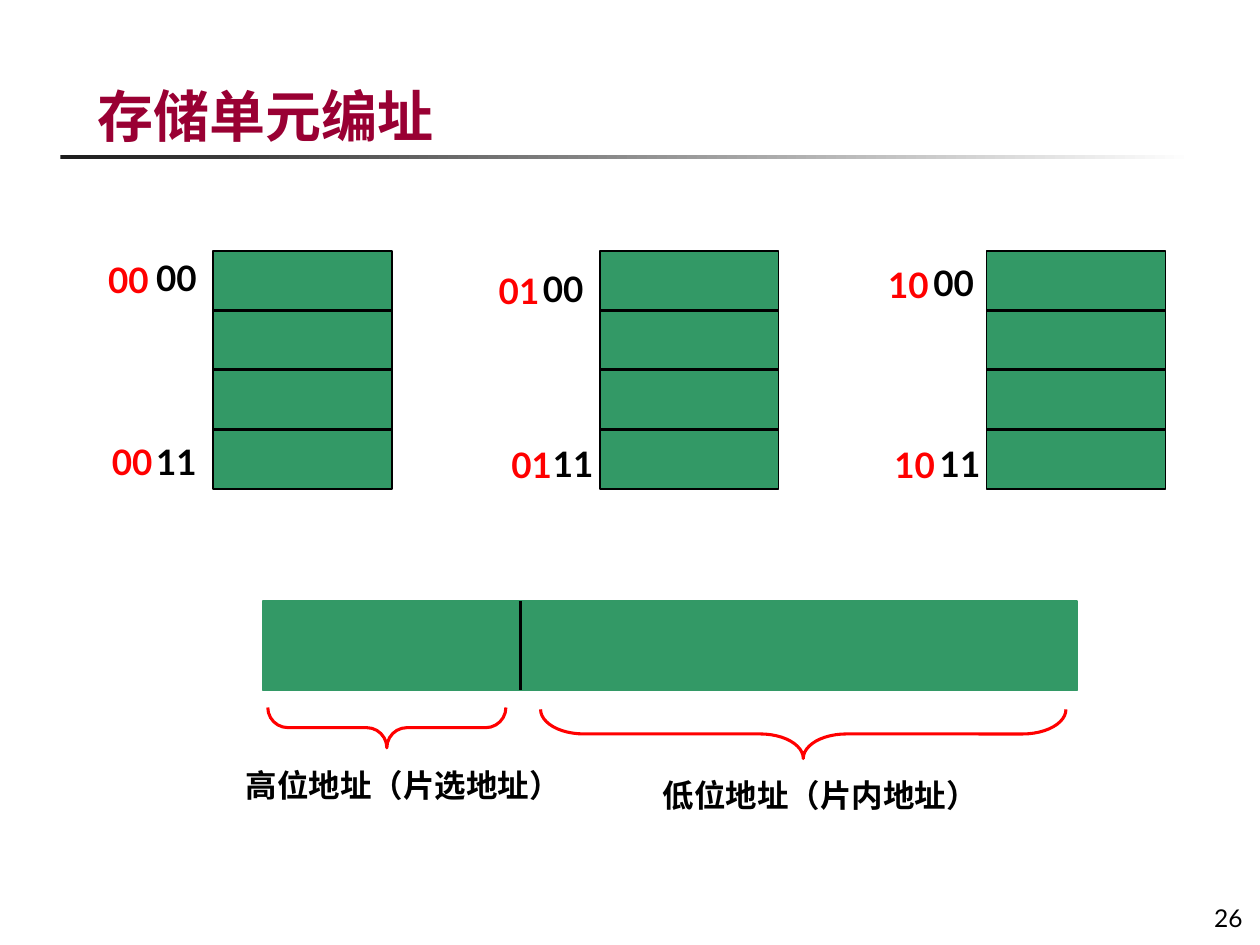
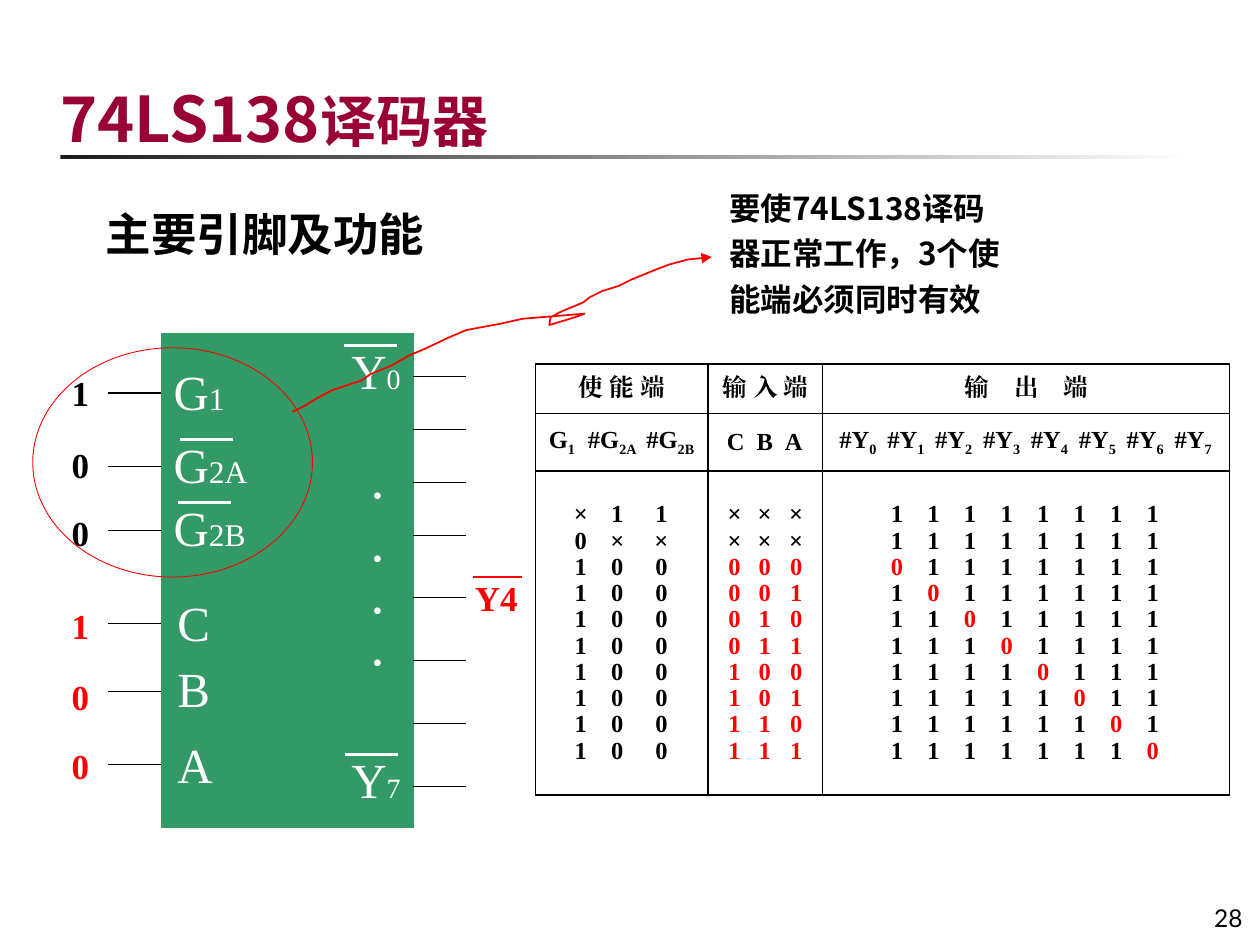
from lxml.etree import SubElement
from pptx import Presentation
from pptx.dml.color import RGBColor
from pptx.enum.shapes import MSO_CONNECTOR, MSO_SHAPE
from pptx.enum.text import MSO_ANCHOR, MSO_AUTO_SIZE, PP_ALIGN
from pptx.oxml.ns import qn
from pptx.util import Inches, Pt

COLORS = {
    "title": "990033", "green": "339966", "red": "FF0000",
    "black": "000000", "white": "FFFFFF", "rule": "1C1C1C",
}
SANS, LATO, TIMES = "Noto Sans CJK SC", "Lato", "Times New Roman"
LABEL = {"name": LATO, "size": 20, "bold": True}
CAPTION = {"name": SANS, "size": 18, "bold": True}
TITLE = {"name": SANS, "size": 32, "bold": True, "color": "title"}
PIN = {"name": TIMES, "size": 28, "color": "white"}
LEVEL = {"name": TIMES, "size": 20, "bold": True}
CELL = {"name": TIMES, "size": 14, "bold": True}


def rgb(name):
    return RGBColor.from_string(COLORS[name])


def inches(*values):
    return [Inches(v) for v in values]


def add_runs(p, runs, style):
    for text, changes in runs:
        fmt = {"color": "black", **style, **changes}
        r = p.add_run()
        r.text = text
        r.font.color.rgb = rgb(fmt.pop("color"))
        baseline = fmt.pop("baseline", None)
        fmt["size"] = Pt(fmt["size"])
        for key, value in fmt.items():
            setattr(r.font, key, value)
        rPr = r._r.get_or_add_rPr()
        SubElement(rPr, qn("a:ea")).set("typeface", fmt["name"])
        if baseline:
            rPr.set("baseline", str(baseline))


def fill_frame(sp, runs, style, frame=None, para=None):
    tf = sp.text_frame
    settings = {"word_wrap": True, "auto_size": MSO_AUTO_SIZE.NONE,
                "vertical_anchor": MSO_ANCHOR.TOP, **(frame or {})}
    for key, value in settings.items():
        setattr(tf, key, value)
    p = tf.paragraphs[0]
    for key, value in (para or {}).items():
        setattr(p, key, value)
    if isinstance(runs, str):
        runs = [(runs, {})]
    add_runs(p, runs, style)
    return p


def add_text(shapes, box, runs, style, frame=None, para=None):
    fill_frame(shapes.add_textbox(*inches(*box)), runs, style, frame, para)


def place(sp, box):
    for key, value in zip(("left", "top", "width", "height"), inches(*box)):
        setattr(sp, key, value)


def style_line(sp, color, width):
    sp.line.color.rgb = rgb(color)
    sp.line.width = Pt(width)


def add_box(shapes, kind, box, fill, line, width):
    sp = shapes.add_shape(kind, *inches(*box))
    sp.shadow.inherit = False
    if fill:
        sp.fill.solid()
        sp.fill.fore_color.rgb = rgb(fill)
    else:
        sp.fill.background()
    style_line(sp, line, width)
    return sp


def add_line(shapes, x1, y1, x2, y2, color, width):
    line = shapes.add_connector(MSO_CONNECTOR.STRAIGHT, *inches(x1, y1, x2, y2))
    style_line(line, color, width)
    SubElement(line._element.spPr, qn("a:effectLst"))
    return line


def add_page(prs, layout, title, title_box, number):
    s = prs.slides.add_slide(prs.slide_layouts[layout])
    rule = s.shapes.add_shape(MSO_SHAPE.RECTANGLE, *inches(0.48, 1.23, 9, 0.03))
    rule.shadow.inherit = False
    rule.line.fill.background()
    rule.fill.gradient()
    rule.fill.gradient_angle = 0
    for stop, color in zip(rule.fill.gradient_stops, ("rule", "white")):
        stop.color.rgb = rgb(color)
    bottom = {"vertical_anchor": MSO_ANCHOR.BOTTOM}
    add_text(s.shapes, (9.27, 6.95, 0.69, 0.5), number, {"name": LATO, "size": 14},
             bottom, {"alignment": PP_ALIGN.RIGHT})
    place(s.shapes.title, title_box)
    fill_frame(s.shapes.title, title, TITLE, bottom, {"alignment": PP_ALIGN.LEFT})
    return s


def add_memory_chip(shapes, left):
    top, width, height = 1.99, 1.42, 1.89
    chip = add_box(shapes, MSO_SHAPE.RECTANGLE, (left, top, width, height), "green", "black", 1)
    for i in (1, 2, 3):
        y = top + height * i / 4
        line = add_line(shapes, left, y, left + width, y, "black", 1.75)
        if i == 2:
            line.begin_connect(chip, 1)
            line.end_connect(chip, 3)


def add_brace(shapes, box, bend):
    brace = add_box(shapes, MSO_SHAPE.RIGHT_BRACE, box, None, "red", 1.75)
    brace.rotation = 90
    brace.adjustments[0] = bend


def build_addressing(prs):
    s = add_page(prs, 5, "存储单元编址", (0.67, 0.31, 7.99, 0.92), "26")
    shapes = s.shapes
    add_box(shapes, MSO_SHAPE.RECTANGLE, (2.09, 4.77, 6.46, 0.71), "green", "green", 1)
    add_brace(shapes, (6.18, 3.74, 0.39, 4.17), 0.88)
    add_brace(shapes, (2.91, 4.83, 0.32, 1.89), 0.5)
    add_line(shapes, 4.13, 4.77, 4.13, 5.48, "black", 1.75)
    for i in range(3):
        add_memory_chip(shapes, 1.69 + 3.07 * i)
    addresses = [
        ("00", 0.76, 2, "00", 1.14, 1.99), ("00", 0.79, 3.45, "11", 1.14, 3.45),
        ("01", 3.86, 2.09, "00", 4.21, 2.07), ("01", 3.96, 3.47, "11", 4.29, 3.46),
        ("10", 6.95, 2.04, "00", 7.31, 2.03), ("10", 7, 3.47, "11", 7.36, 3.46),
    ]
    for high, high_x, high_y, low, low_x, low_y in addresses:
        add_text(shapes, (low_x, low_y, 0.63, 0.43), low, LABEL)
        add_text(shapes, (high_x, high_y, 0.63, 0.43), high, {**LABEL, "color": "red"})
    add_text(shapes, (5.16, 6.11, 2.91, 0.4), "低位地址（片内地址）", CAPTION)
    add_text(shapes, (1.85, 6.03, 2.91, 0.4), "高位地址（片选地址）", CAPTION)


def add_decoder(s):
    shapes = s.shapes.add_group_shape().shapes
    left, right, lead = 1.28, 3.28, 0.42
    add_box(shapes, MSO_SHAPE.RECTANGLE, (left, 2.65, 2, 3.92), "green", "green", 0.75)
    outputs = [2.99 + 0.42 * i for i in range(4)] + [4.74 + 0.5 * i for i in range(4)]
    for y in outputs:
        add_line(shapes, right, y, right + lead, y, "black", 0.75)
    for y in (3.12, 3.7, 4.21, 4.95, 5.49, 6.07):
        add_line(shapes, left - lead, y, left, y, "black", 0.75)
    pins = [
        ("G", "1", 18, 1.28, 2.82), ("G", "2A", 18, 1.28, 3.4), ("G", "2B", 18, 1.28, 3.9),
        ("C", "", 18, 1.31, 4.65), ("B", "", 18, 1.31, 5.18), ("A", "", 18, 1.31, 5.78),
        ("Y", "0", 16, 2.69, 2.65), ("Y", "7", 16, 2.69, 5.9),
    ]
    for name, index, size, x, y in pins:
        runs = [(name, {})] + ([(index, {"size": size})] if index else [])
        add_text(shapes, (x, y, 0.92, 0.57), runs, PIN)
    for x, y in ((1.43, 3.49), (1.41, 3.99), (2.73, 2.74), (2.74, 5.99)):
        add_line(shapes, x, y, x + 0.42, y, "white", 1.5)
    for y in (3.74, 4.24, 4.65, 5.07):
        add_text(shapes, (2.86, y, 0.5, 0.37), "•", {**PIN, "size": 16})


def add_tabs(p, stops):
    tabs = SubElement(p._p.get_or_add_pPr(), qn("a:tabLst"))
    for stop in stops:
        tab = SubElement(tabs, qn("a:tab"))
        tab.set("pos", str(Inches(stop)))
        tab.set("algn", "ctr")


def add_borders(cell):
    tcPr = cell._tc.get_or_add_tcPr()
    for side in ("lnL", "lnR", "lnT", "lnB"):
        ln = SubElement(tcPr, qn(f"a:{side}"), w=str(Pt(1)))
        fill = SubElement(ln, qn("a:solidFill"))
        SubElement(fill, qn("a:srgbClr"), val=COLORS["black"])


def fill_cell(cell, lines, stops=(), spacing=None):
    add_borders(cell)
    cell.fill.background()
    settings = {"margin_left": Inches(0.07), "margin_right": Inches(0.07), "margin_top": 0,
                "margin_bottom": 0, "vertical_anchor": MSO_ANCHOR.MIDDLE}
    for key, value in settings.items():
        setattr(cell, key, value)
    tf = cell.text_frame
    for i, runs in enumerate(lines):
        p = tf.add_paragraph() if i else tf.paragraphs[0]
        if stops:
            add_tabs(p, stops)
        p.alignment = PP_ALIGN.LEFT if stops else PP_ALIGN.CENTER
        if spacing:
            p.line_spacing = Pt(spacing)
        add_runs(p, runs, CELL)


def signal_runs(signals):
    runs = []
    for name, index in signals:
        runs.append(("\t" + name, {}))
        if index:
            runs.append((index, {"baseline": -25000}))
    return runs


def level_runs(levels, red):
    return [("\t" + c, {"color": "red" if c in red else "black"}) for c in levels]


def add_truth_table(s):
    table = s.shapes.add_table(3, 3, *inches(4.25, 2.89, 5.51, 3.42)).table
    table.first_row = table.horz_banding = False
    for column, width in zip(table.columns, (1.37, 0.91, 3.23)):
        column.width = Inches(width)
    for row, height in zip(table.rows, (0.39, 0.46, 2.57)):
        row.height = Inches(height)

    headings = [("使 能 端", ()), ("输 入 端", ()), ("\t输\t出\t端", (1.15, 1.55, 1.94))]
    for i, (text, stops) in enumerate(headings):
        fill_cell(table.cell(0, i), [[(text, {})]], stops, 15)

    signals = [
        ([("G", "1"), ("#G", "2A"), ("#G", "2B")], (0.14, 0.54, 1)),
        ([(c, "") for c in "CBA"], (0.15, 0.38, 0.61)),
        ([("#Y", str(n)) for n in range(8)], [0.21 + 0.38 * n for n in range(8)]),
    ]
    for i, (names, stops) in enumerate(signals):
        fill_cell(table.cell(1, i), [signal_runs(names)], stops)

    enables = ["×11", "0××"] + ["100"] * 8
    inputs = ["×××"] * 2 + [f"{n:03b}" for n in range(8)]
    outputs = ["1" * 8] * 2 + ["1" * n + "0" + "1" * (7 - n) for n in range(8)]
    levels = [
        (enables, "", (0.29, 0.58, 0.93)),
        (inputs, "01", (0.14, 0.38, 0.63)),
        (outputs, "0", [0.52 + 0.29 * n for n in range(8)]),
    ]
    for i, (lines, red, stops) in enumerate(levels):
        fill_cell(table.cell(2, i), [level_runs(line, red) for line in lines], stops, 15)


def add_scribble_arrow(shapes):
    points = [
        (2.32, 3.27), (2.42, 3.22), (2.5, 3.17), (2.63, 3.1), (2.87, 3.02), (2.94, 2.97),
        (3.11, 2.9), (3.25, 2.82), (3.37, 2.77), (3.56, 2.68), (3.7, 2.62), (3.97, 2.57),
        (4.15, 2.53), (4.64, 2.49), (4.59, 2.51), (4.46, 2.55), (4.36, 2.58), (4.37, 2.52),
        (4.44, 2.48), (4.51, 2.45), (4.63, 2.4), (4.68, 2.36), (4.78, 2.31), (4.91, 2.27),
        (5.01, 2.22), (5.18, 2.15), (5.31, 2.1), (5.46, 2.06), (5.65, 2.04),
    ]
    builder = shapes.build_freeform(*inches(*points[0]))
    builder.add_line_segments([inches(*point) for point in points[1:]], close=False)
    sp = builder.convert_to_shape()
    sp.shadow.inherit = False
    sp.fill.background()
    style_line(sp, "red", 1)
    SubElement(sp.line._get_or_add_ln(), qn("a:tailEnd"), type="triangle")


def build_decoder(prs):
    s = add_page(prs, 1, [("74LS138", {"size": 36}), ("译码器", {})],
                 (0.38, 0.36, 7.99, 0.92), "28")
    add_decoder(s)
    body = s.placeholders[1]
    place(body, (0.74, 1.5, 5.23, 0.72))
    pPr = body.text_frame.paragraphs[0]._p.get_or_add_pPr()
    for key in ("marL", "indent"):
        pPr.set(key, "0")
    SubElement(pPr, qn("a:buNone"))
    fill_frame(body, "主要引脚及功能", {"name": SANS, "size": 26, "bold": True},
               para={"alignment": PP_ALIGN.JUSTIFY, "line_spacing": 1.2,
                     "space_before": Pt(0), "space_after": Pt(2)})
    add_truth_table(s)
    levels = [("1", 2.9, "black"), ("0", 3.47, "black"), ("0", 4.01, "black"),
              ("1", 4.75, "red"), ("0", 5.31, "red"), ("0", 5.86, "red")]
    for level, y, color in levels:
        add_text(s.shapes, (0.47, y, 0.39, 0.44), level, {**LEVEL, "color": color})
    selected = s.shapes.add_group_shape().shapes
    add_text(selected, (3.67, 4.53, 0.7, 0.44), "Y4", {**LEVEL, "color": "red"})
    add_line(selected, 3.75, 4.58, 4.14, 4.58, "red", 1)
    add_box(s.shapes, MSO_SHAPE.OVAL, (0.26, 2.76, 2.22, 1.82), None, "red", 0.5)
    add_scribble_arrow(s.shapes)
    add_text(s.shapes, (5.69, 1.39, 2.38, 1.19),
             "要使74LS138译码器正常工作，3个使能端必须同时有效", CAPTION,
             para={"line_spacing": 1.2})


def main():
    prs = Presentation()
    prs.slide_width, prs.slide_height = inches(10, 7.5)
    build_addressing(prs)
    build_decoder(prs)
    prs.save("out.pptx")


if __name__ == "__main__":
    main()
